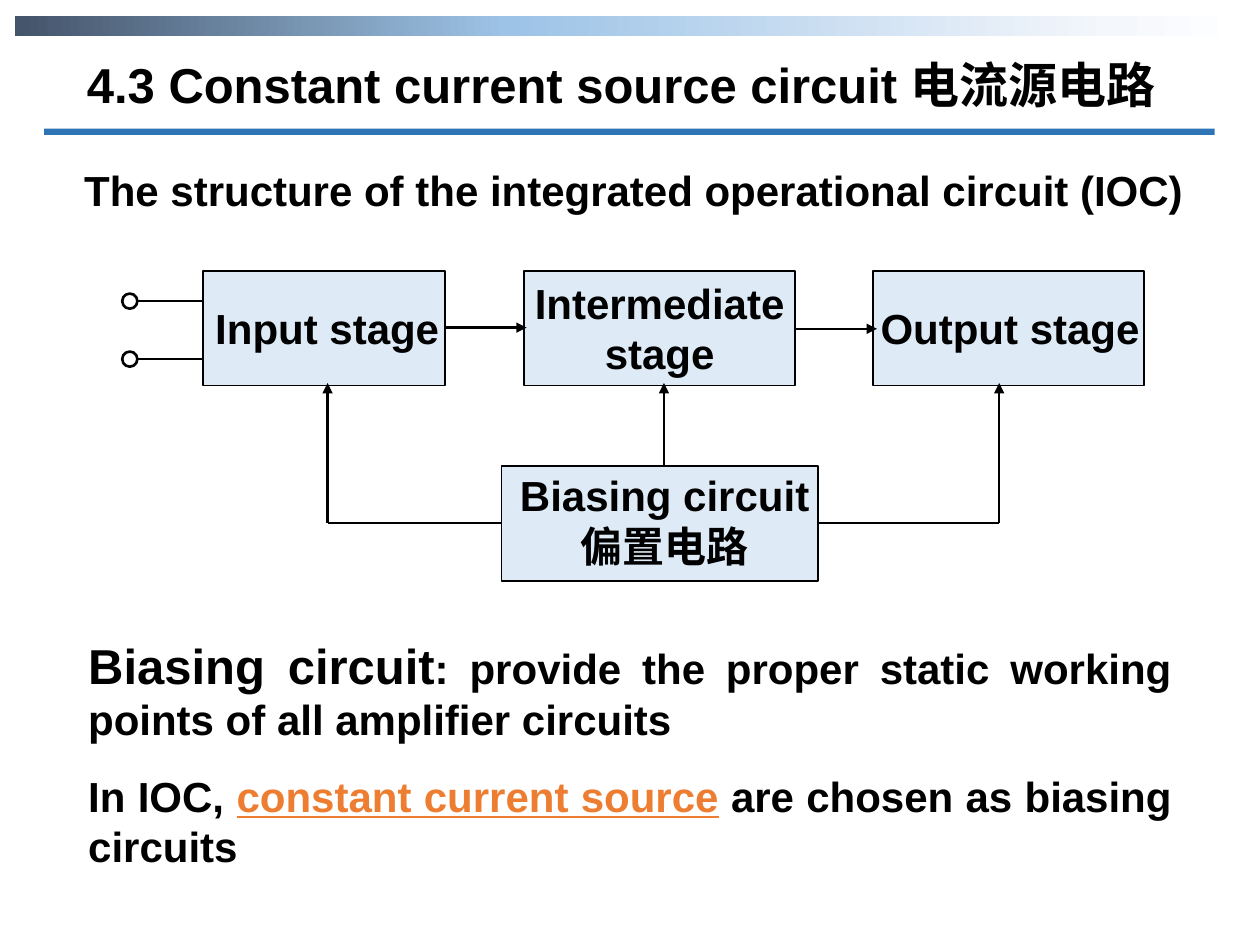
"""Build the slide on the constant current source circuit."""
from dataclasses import dataclass

from lxml import etree
from pptx import Presentation
from pptx.dml.color import RGBColor
from pptx.enum.shapes import MSO_CONNECTOR, MSO_SHAPE
from pptx.enum.text import MSO_ANCHOR, MSO_AUTO_SIZE, PP_ALIGN
from pptx.oxml.ns import qn
from pptx.util import Inches, Pt

RECT, OVAL = MSO_SHAPE.RECTANGLE, MSO_SHAPE.OVAL
STRAIGHT = MSO_CONNECTOR.STRAIGHT
TOP, NO_FIT = MSO_ANCHOR.TOP, MSO_AUTO_SIZE.NONE
LEFT, CENTER, JUSTIFY = PP_ALIGN.LEFT, PP_ALIGN.CENTER, PP_ALIGN.JUSTIFY

BLACK = RGBColor(0x00, 0x00, 0x00)
WHITE = RGBColor(0xFF, 0xFF, 0xFF)
RULE_BLUE = RGBColor(0x2E, 0x75, 0xB6)
BOX_BLUE = RGBColor(0xDE, 0xEB, 0xF7)
ORANGE = RGBColor(0xED, 0x7D, 0x31)
BAND_STOPS = [
    (0, RGBColor(0x44, 0x54, 0x6A)),
    (40, RGBColor(0x9D, 0xC3, 0xE6)),
    (89, RGBColor(0xF4, 0xF7, 0xFC)),
    (100, WHITE),
]
LATIN, CJK = "Arial", "Noto Sans CJK SC"
BOX_H, STAGE_TOP, ARROW_END, BUS_Y = 0.91, 2.15, 3.04, 4.15


@dataclass
class Run:
    text: str
    size: int = 24
    color: RGBColor = BLACK
    font: str = LATIN
    underline: bool = False


@dataclass
class Block:
    left: float
    width: float
    top: float
    label: tuple[float, float, float, float]
    paras: list[list[Run]]
    align: PP_ALIGN = CENTER


@dataclass
class Wire:
    x1: float
    y1: float
    x2: float
    y2: float
    arrow: bool = False


BLOCKS = [
    Block(1.61, 1.92, STAGE_TOP, (1.61, 2.35, 2.15, 0.5), [[Run("Input stage")]], LEFT),
    Block(4.16, 2.15, STAGE_TOP, (3.98, 2.15, 2.51, 0.88), [[Run("Intermediate stage")]]),
    Block(6.93, 2.15, STAGE_TOP, (6.89, 2.35, 2.32, 0.5), [[Run("Output stage")]], LEFT),
    Block(3.98, 2.51, 3.7, (4.02, 3.68, 2.51, 0.88),
          [[Run("Biasing circuit")], [Run("偏置电路", font=CJK)]]),
]
WIRES = [
    Wire(3.53, 2.6, 4.18, 2.6, True),
    Wire(6.31, 2.61, 6.96, 2.61, True),
    Wire(5.27, 3.69, 5.27, ARROW_END, True),
    Wire(2.6, BUS_Y, 2.6, ARROW_END, True),
    Wire(3.98, BUS_Y, 2.6, BUS_Y),
    Wire(7.93, BUS_Y, 7.93, ARROW_END, True),
    Wire(6.49, BUS_Y, 7.93, BUS_Y),
]
INPUT_YS = [2.39, 2.85]


def place(sp, left: float, top: float, width: float, height: float) -> None:
    sp.left, sp.top = Inches(left), Inches(top)
    sp.width, sp.height = Inches(width), Inches(height)


def fill_text(sp, paras: list[list[Run]], align: PP_ALIGN, gap: int = 0, wrap: bool = True) -> None:
    tf = sp.text_frame
    tf.word_wrap, tf.auto_size, tf.vertical_anchor = wrap, NO_FIT, TOP
    for i, runs in enumerate(paras):
        p = tf.add_paragraph() if i else tf.paragraphs[0]
        pPr = p._p.get_or_add_pPr()
        pPr.set("marL", "0")
        pPr.set("indent", "0")
        etree.SubElement(pPr, qn("a:buNone"))
        p.alignment, p.line_spacing = align, 1.0
        p.space_before, p.space_after = Pt(gap if i else 0), Pt(0)
        for run in runs:
            r = p.add_run()
            r.text = run.text
            r.font.size, r.font.bold, r.font.name = Pt(run.size), True, run.font
            r.font.color.rgb, r.font.underline = run.color, run.underline
            etree.SubElement(r._r.get_or_add_rPr(), qn("a:ea"), typeface=run.font)


def add_text(s, box: tuple[float, float, float, float], paras: list[list[Run]], align: PP_ALIGN) -> None:
    fill_text(s.shapes.add_textbox(*map(Inches, box)), paras, align)


def add_shape(s, kind: MSO_SHAPE, left: float, top: float, width: float, height: float,
              fill: RGBColor, line: float = 0):
    sp = s.shapes.add_shape(kind, *map(Inches, (left, top, width, height)))
    sp.shadow.inherit = False
    sp.fill.solid()
    sp.fill.fore_color.rgb = fill
    if line:
        sp.line.color.rgb, sp.line.width = BLACK, Pt(line)
    else:
        sp.line.fill.background()
    return sp


def add_band(s) -> None:
    sp = add_shape(s, RECT, 0.12, 0.13, 9.76, 0.16, WHITE)
    sp.fill.gradient()
    sp.fill.gradient_angle = 0
    stops = sp._element.spPr.find(qn("a:gradFill")).find(qn("a:gsLst"))
    for old in list(stops):
        stops.remove(old)
    for pos, color in BAND_STOPS:
        gs = etree.SubElement(stops, qn("a:gs"), pos=str(pos * 1000))
        etree.SubElement(gs, qn("a:srgbClr"), val=str(color))


def add_wire(s, wire: Wire) -> None:
    ends = map(Inches, (wire.x1, wire.y1, wire.x2, wire.y2))
    sp = s.shapes.add_connector(STRAIGHT, *ends)
    sp.line.color.rgb, sp.line.width = BLACK, Pt(1.5)
    if wire.arrow:
        etree.SubElement(sp.line._get_or_add_ln(), qn("a:tailEnd"), type="triangle")
    etree.SubElement(sp._element.spPr, qn("a:effectLst"))


def add_block(s, block: Block) -> None:
    add_shape(s, RECT, block.left, block.top, block.width, BOX_H, BOX_BLUE, 1)
    add_text(s, block.label, block.paras, block.align)


def main() -> None:
    prs = Presentation()
    prs.slide_width, prs.slide_height = Inches(10), Inches(7.5)
    s = prs.slides.add_slide(prs.slide_layouts[1])

    add_band(s)
    title, body = s.shapes.title, s.placeholders[1]
    place(title, 0.53, 0.38, 8.8, 0.57)
    fill_text(title, [[Run("4.3 Constant current source circuit ", 28),
                       Run("电流源电路", 28, font=CJK)]], CENTER, wrap=False)
    add_shape(s, RECT, 0.35, 1.02, 9.29, 0.05, RULE_BLUE)
    add_text(s, (0.53, 1.26, 9, 0.5),
             [[Run("The structure of the integrated operational circuit (IOC)")]], CENTER)

    place(body, 0.6, 4.99, 8.8, 1.94)
    fill_text(body, [
        [Run("Biasing circuit", 28),
         Run(": provide the proper static working points of all amplifier circuits")],
        [Run("In IOC, "), Run("constant current source", color=ORANGE, underline=True),
         Run(" are chosen as biasing circuits")],
    ], JUSTIFY, gap=15)

    for block in BLOCKS:
        add_block(s, block)
    for wire in WIRES + [Wire(1.61, y, 1.03, y) for y in INPUT_YS]:
        add_wire(s, wire)
    for y in INPUT_YS:
        add_shape(s, OVAL, 0.97, y - 0.06, 0.12, 0.12, WHITE, 1.5)

    prs.save("out.pptx")


if __name__ == "__main__":
    main()
